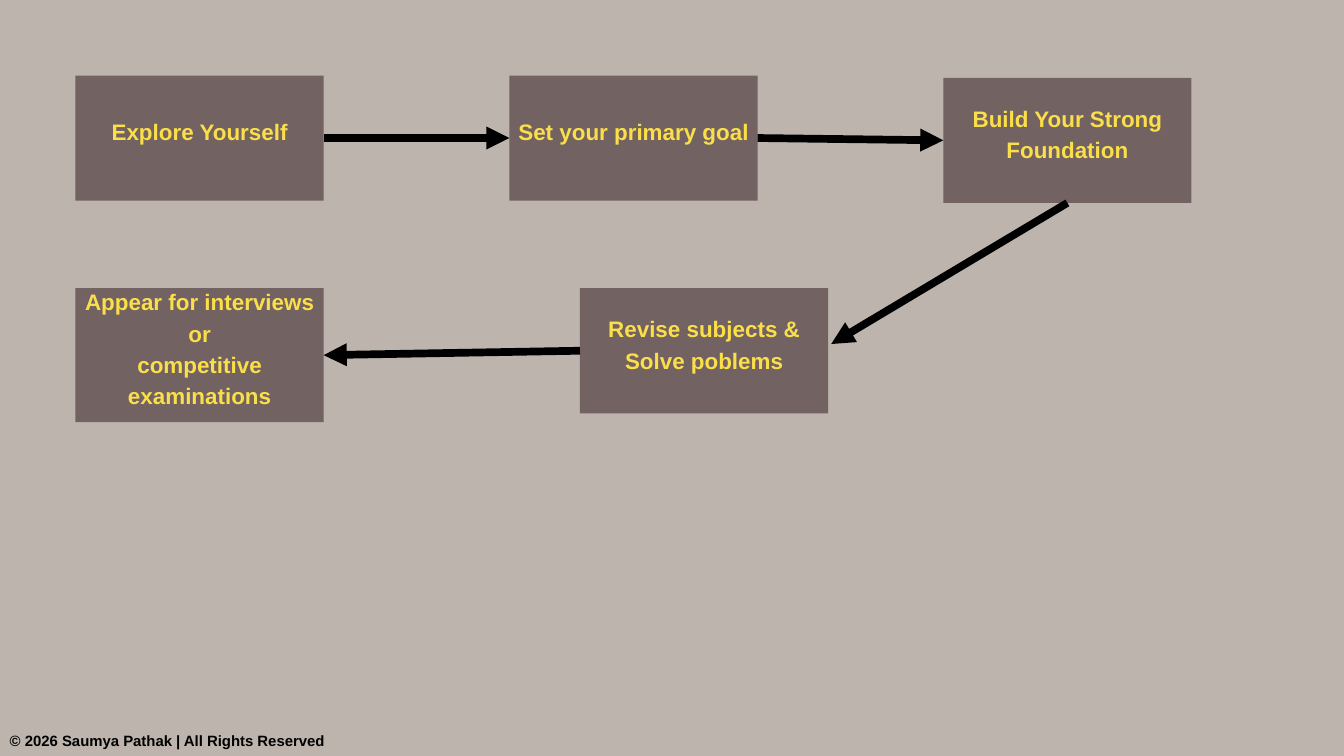
from lxml import etree
from pptx import Presentation
from pptx.dml.color import RGBColor
from pptx.enum.shapes import MSO_CONNECTOR as CONN, MSO_SHAPE as SHAPE
from pptx.enum.text import MSO_ANCHOR as ANCHOR, PP_ALIGN as ALIGN
from pptx.oxml.ns import qn
from pptx.util import Pt

BACKGROUND = RGBColor(0xBD, 0xB5, 0xAD)
BOX_FILL = RGBColor(0x72, 0x62, 0x62)
YELLOW = RGBColor(0xFA, 0xDE, 0x4A)
BLACK = RGBColor(0, 0, 0)

FONT = "Arial"
BOX_W, BOX_H = 265.9, 134
LABEL_RISE = 18.4  # the label area starts this far above its box
TOP, LEFT, BOTTOM, RIGHT = range(4)  # connection sites

# Steps in order: left, top, height, paragraphs
STEPS = [
    (80.9, 80.9, BOX_H, "Explore Yourself"),
    (545.8, 80.9, BOX_H, "Set your primary goal"),
    (1010.7, 83.4, BOX_H, "Build Your Strong Foundation"),
    (621.4, 308.8, BOX_H, "Revise subjects & Solve poblems"),
    (80.9, 308.8, 143.5, "Appear for interviews or\ncompetitive examinations"),
]


def add_text(shapes, left, top, width, height, text, size, color, inset=0):
    sp = shapes.add_textbox(Pt(left), Pt(top), Pt(width), Pt(height))
    tf = sp.text_frame
    tf.word_wrap = True
    tf.margin_left = tf.margin_right = Pt(inset)
    tf.margin_top = tf.margin_bottom = Pt(inset)
    tf.text = text
    for p in tf.paragraphs:
        p.alignment = ALIGN.CENTER
        p.line_spacing = Pt(size * 1.4)
        for r in p.runs:
            r.font.name = FONT
            r.font.size = Pt(size)
            r.font.bold = True
            r.font.color.rgb = color
    return sp


def add_step(slide, left, top, height, text):
    """Group a filled box with its label and return the box."""
    group = slide.shapes.add_group_shape()
    box = group.shapes.add_shape(SHAPE.RECTANGLE, Pt(left), Pt(top), Pt(BOX_W), Pt(height))
    box.shadow.inherit = False
    box.fill.solid()
    box.fill.fore_color.rgb = BOX_FILL
    box.line.fill.background()
    label = add_text(group.shapes, left, top - LABEL_RISE, BOX_W, height + LABEL_RISE,
                     text, 24, YELLOW, inset=4)
    label.text_frame.vertical_anchor = ANCHOR.MIDDLE
    return box


def add_arrow(slide, start, start_site, end=None, end_site=None, tip=(0, 0)):
    """Draw an arrow from a box to another box, or to a free tip."""
    line = slide.shapes.add_connector(CONN.STRAIGHT, 0, 0, Pt(tip[0]), Pt(tip[1]))
    line.begin_connect(start, start_site)
    if end is not None:
        line.end_connect(end, end_site)
    line.line.color.rgb = BLACK
    line.line.width = Pt(8.25)
    ln = line.line._get_or_add_ln()
    etree.SubElement(ln, qn("a:tailEnd"), type="triangle")
    etree.SubElement(line._element.spPr, qn("a:effectLst"))


def main():
    prs = Presentation()
    prs.slide_width, prs.slide_height = Pt(1440), Pt(810)
    slide = prs.slides.add_slide(prs.slide_layouts[6])
    slide.background.fill.solid()
    slide.background.fill.fore_color.rgb = BACKGROUND

    # Footer
    add_text(slide.shapes, 10, 780.5, 338.5, 22.4,
             "© 2026 Saumya Pathak | All Rights Reserved", 16, BLACK)

    # Steps
    explore, goal, foundation, revise, appear = [add_step(slide, *step) for step in STEPS]

    # Arrows
    add_arrow(slide, explore, RIGHT, goal, LEFT)
    add_arrow(slide, goal, RIGHT, foundation, LEFT)
    add_arrow(slide, foundation, BOTTOM, tip=(890.6, 368.6))
    add_arrow(slide, revise, LEFT, appear, RIGHT)

    prs.save("out.pptx")


if __name__ == "__main__":
    main()
